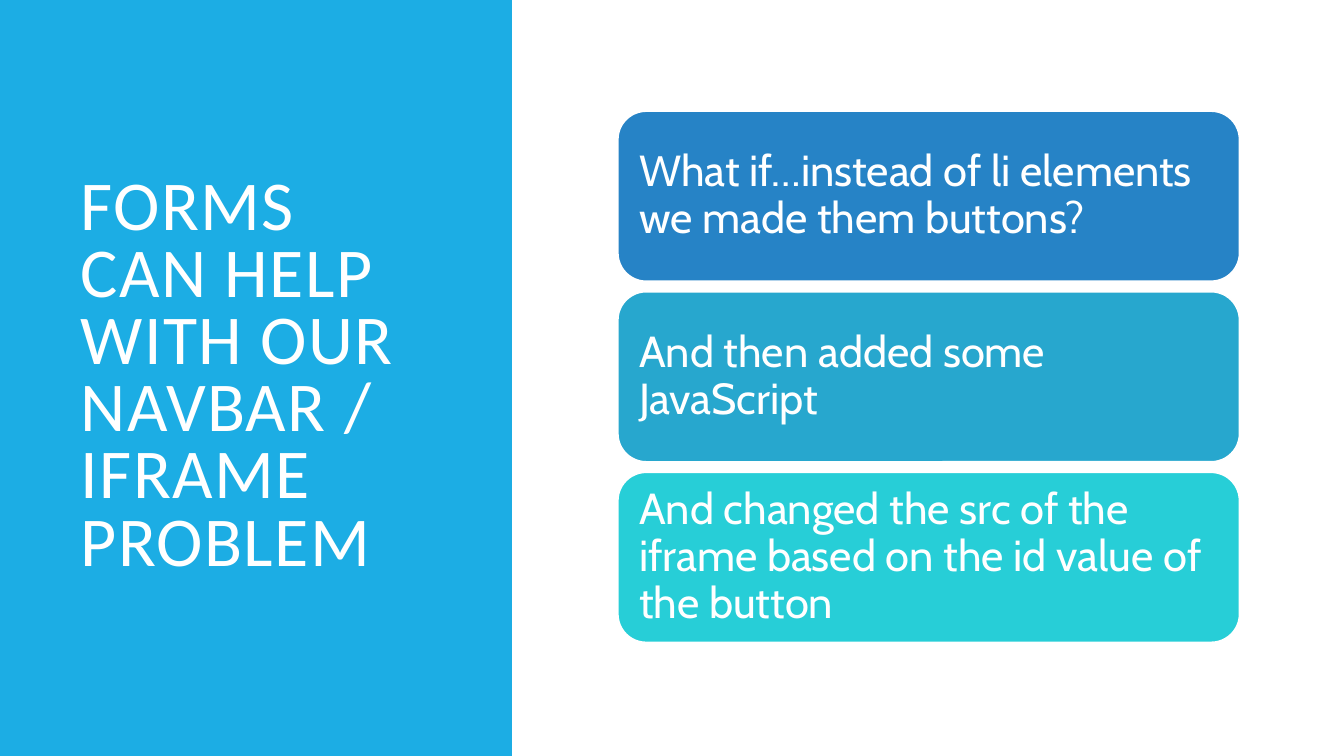
from dataclasses import dataclass

from pptx import Presentation
from pptx.dml.color import RGBColor
from pptx.enum.shapes import MSO_SHAPE
from pptx.enum.text import MSO_ANCHOR, MSO_AUTO_SIZE, PP_ALIGN
from pptx.util import Cm, Pt

RECTANGLE = MSO_SHAPE.RECTANGLE
ROUNDED = MSO_SHAPE.ROUNDED_RECTANGLE
MIDDLE = MSO_ANCHOR.MIDDLE
LEFT = PP_ALIGN.LEFT
NO_AUTOFIT = MSO_AUTO_SIZE.NONE
TITLE_ONLY = 5


@dataclass(frozen=True)
class Theme:
    panel: str = "1CADE4"
    light: str = "FFFFFF"
    steps: tuple = ("2683C6", "27A7CE", "27CED7")
    title_font: str = "Calibri"
    step_font: str = "Cabin"
    title_size: int = 50
    step_size: int = 31
    outline: float = 1.25


THEME = Theme()
HEADING = "FORMS CAN HELP WITH OUR NAVBAR / IFRAME PROBLEM"
STEPS = (
    "What if…instead of li elements we made them buttons?",
    "And then added some JavaScript",
    "And changed the src of the iframe based on the id value of the button",
)


def write(frame, wording, font_name, size, line_spacing, inset):
    """Fill a text frame with one left-aligned, vertically centred paragraph."""
    frame.text = wording
    frame_format = {
        "word_wrap": True, "auto_size": NO_AUTOFIT, "vertical_anchor": MIDDLE,
        "margin_left": inset, "margin_right": inset,
        "margin_top": inset, "margin_bottom": inset,
    }
    for name, value in frame_format.items():
        setattr(frame, name, value)
    paragraph = frame.paragraphs[0]
    paragraph.alignment = LEFT
    paragraph.line_spacing = line_spacing
    run = paragraph.runs[0]
    run.font.name = font_name
    run.font.size = Pt(size)
    run.font.color.rgb = RGBColor.from_string(THEME.light)
    return run


def add_block(slide, preset, box, fill):
    block = slide.shapes.add_shape(preset, *box)
    block.shadow.inherit = False
    block.fill.solid()
    block.fill.fore_color.rgb = RGBColor.from_string(fill)
    block.line.fill.background()
    return block


def add_title_panel(slide, box):
    left, top, width, height = box
    panel = add_block(slide, RECTANGLE, box, THEME.panel)
    heading = slide.shapes.title
    panel._element.addnext(heading._element)  # heading in front of its panel
    margin = Cm(1.78)
    heading.left, heading.top = left + margin, top + margin
    heading.width, heading.height = width - margin - Cm(1.63), height - 2 * margin
    run = write(heading.text_frame, HEADING, THEME.title_font,
                THEME.title_size, 0.8, Cm(0.25))
    run.font._element.set("spc", "100")


def add_steps(slide, box):
    """Stack the steps as equal cards with equal gaps inside the box."""
    left, top, width, height = box
    gap = Cm(0.26)
    card_height = (height - gap * (len(STEPS) - 1)) // len(STEPS)
    for index, (step, colour) in enumerate(zip(STEPS, THEME.steps)):
        card_top = top + index * (card_height + gap)
        card = add_block(slide, ROUNDED, (left, card_top, width, card_height), colour)
        card.line.color.rgb = RGBColor.from_string(THEME.light)
        card.line.width = Pt(THEME.outline)
        write(card.text_frame, step, THEME.step_font, THEME.step_size, 0.9, Cm(0.33))


def main():
    presentation = Presentation()
    presentation.slide_width, presentation.slide_height = Cm(33.87), Cm(19.05)
    slide = presentation.slides.add_slide(presentation.slide_layouts[TITLE_ONLY])
    add_title_panel(slide, (0, 0, Cm(12.9), presentation.slide_height))
    add_steps(slide, (Cm(15.57), Cm(2.8), Cm(15.67), Cm(13.39)))
    presentation.save("out.pptx")


if __name__ == "__main__":
    main()
